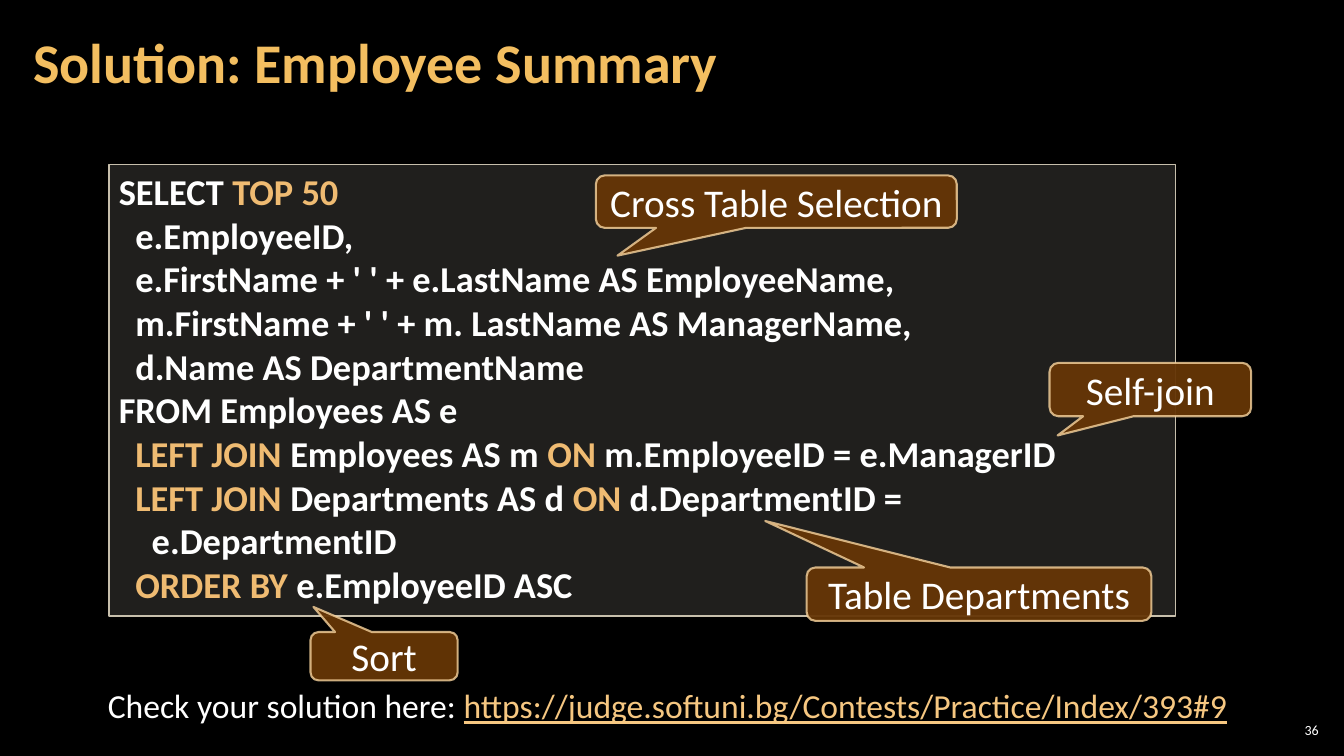
"""Build the "Solution: Employee Summary" slide."""
from typing import NamedTuple

from lxml import etree
from pptx import Presentation
from pptx.dml.color import RGBColor
from pptx.enum.shapes import MSO_SHAPE
from pptx.enum.text import MSO_ANCHOR, MSO_AUTO_SIZE, PP_ALIGN
from pptx.oxml.ns import qn
from pptx.util import Emu, Pt

PX = 9144
FONT = "Calibri"
BLACK = RGBColor(0x00, 0x00, 0x00)
WHITE = RGBColor(0xFF, 0xFF, 0xFF)
TITLE_GOLD = RGBColor(0xF3, 0xBE, 0x60)
KEYWORD_GOLD = RGBColor(0xEF, 0xBB, 0x72)
LINK_GOLD = RGBColor(0xF6, 0xC7, 0x81)
PANEL_FILL = RGBColor(0xD9, 0xD5, 0xC7)
PANEL_LINE = RGBColor(0xC7, 0xBF, 0xAC)
CALLOUT_FILL = RGBColor(0x66, 0x36, 0x06)
CALLOUT_LINE = RGBColor(0xF8, 0xD4, 0x9E)
RECTANGLE = MSO_SHAPE.RECTANGLE
CALLOUT = MSO_SHAPE.ROUNDED_RECTANGULAR_CALLOUT
MIDDLE, TOP = MSO_ANCHOR.MIDDLE, MSO_ANCHOR.TOP
LEFT, CENTER, RIGHT = PP_ALIGN.LEFT, PP_ALIGN.CENTER, PP_ALIGN.RIGHT
NO_AUTOFIT = MSO_AUTO_SIZE.NONE


class Box(NamedTuple):
    """A rectangle in px."""
    left: int
    top: int
    width: int
    height: int


class Piece(NamedTuple):
    """A stretch of text in one colour."""
    text: str
    color: RGBColor = WHITE
    underline: bool = False


class Style(NamedTuple):
    """The look of a block of text."""
    size: int
    align: PP_ALIGN = LEFT
    anchor: MSO_ANCHOR = TOP
    bold: bool = False


class Callout(NamedTuple):
    """A speech bubble and the relative position of its tip."""
    text: str
    box: Box
    tip_x: float
    tip_y: float


def keyword(text: str) -> Piece:
    """Return a highlighted piece of code."""
    return Piece(text, KEYWORD_GOLD)


CODE_LINES = [
    [Piece("SELECT "), keyword("TOP 50")],
    [Piece("  e.EmployeeID,")],
    [Piece("  e.FirstName + ' ' + e.LastName AS EmployeeName,")],
    [Piece("  m.FirstName + ' ' + m. LastName AS ManagerName,")],
    [Piece("  d.Name AS DepartmentName")],
    [Piece("FROM Employees AS e")],
    [keyword("  LEFT JOIN "), Piece("Employees AS m "), keyword("ON"),
     Piece(" m.EmployeeID = e.ManagerID")],
    [keyword("  LEFT JOIN "), Piece("Departments AS d "), keyword("ON"),
     Piece(" d.DepartmentID =")],
    [Piece("    e.DepartmentID")],
    [keyword("  ORDER BY "), Piece("e.EmployeeID ASC")],
]
CHECK_LINE = [
    Piece("Check your solution here: "),
    Piece("https://judge.softuni.bg/Contests/Practice/Index/393#9", LINK_GOLD, True),
]
CALLOUTS = [
    Callout("Self-join", Box(1041, 360, 200, 53), -0.46, 0.86),
    Callout("Sort", Box(308, 627, 146, 48), -0.48, -1.02),
    Callout("Cross Table Selection", Box(591, 174, 358, 52), -0.44, 1.03),
    Callout("Table Departments", Box(800, 563, 342, 53), -0.62, -1.37),
]


def emu(box: Box) -> list[Emu]:
    """Turn a box in px into EMU lengths."""
    return [Emu(length * PX) for length in box]


def write(text_frame, lines: list[list[Piece]], style: Style) -> None:
    """Fill a text frame with lines of coloured pieces."""
    text_frame.word_wrap = True
    text_frame.auto_size = NO_AUTOFIT
    text_frame.vertical_anchor = style.anchor
    text_frame.text = "\n".join("" for _ in lines)
    for paragraph, pieces in zip(text_frame.paragraphs, lines):
        paragraph.alignment = style.align
        for piece in pieces:
            run = paragraph.add_run()
            run.text = piece.text
            run.font.name = FONT
            run.font.size = Pt(style.size)
            run.font.bold = style.bold
            run.font.color.rgb = piece.color
            if piece.underline:
                run.font.underline = True


def set_opacity(color_parent, percent: int) -> None:
    """Make a solid fill partly transparent."""
    color = color_parent.find(qn("a:solidFill"))[0]
    etree.SubElement(color, qn("a:alpha"), val=str(percent * 1000))


def add_panel(slide, kind: MSO_SHAPE, box: Box, fill: RGBColor, opacity: int,
              line: RGBColor, line_width: float):
    """Add a translucent outlined shape."""
    shape = slide.shapes.add_shape(kind, *emu(box))
    shape.shadow.inherit = False
    shape.fill.solid()
    shape.fill.fore_color.rgb = fill
    set_opacity(shape._element.spPr, opacity)
    shape.line.color.rgb = line
    shape.line.width = Pt(line_width)
    return shape


def add_callout(slide, callout: Callout) -> None:
    """Add a labelled speech bubble."""
    shape = add_panel(slide, CALLOUT, callout.box, CALLOUT_FILL, 95, CALLOUT_LINE, 1.5)
    set_opacity(shape.line._get_or_add_ln(), 80)
    shape.adjustments[0] = callout.tip_x
    shape.adjustments[1] = callout.tip_y
    write(shape.text_frame, [[Piece(callout.text)]], Style(28, CENTER, MIDDLE))


def set_margins(text_frame, side: int, end: int) -> None:
    """Set the insets of a text frame in px."""
    text_frame.margin_left = text_frame.margin_right = Emu(side * PX)
    text_frame.margin_top = text_frame.margin_bottom = Emu(end * PX)


def main() -> None:
    """Build and save the presentation."""
    presentation = Presentation()
    presentation.slide_width = Emu(1333 * PX)
    presentation.slide_height = Emu(750 * PX)
    slide = presentation.slides.add_slide(presentation.slide_layouts[5])
    slide.background.fill.solid()
    slide.background.fill.fore_color.rgb = BLACK

    title = slide.shapes.title
    title.left, title.top, title.width, title.height = emu(Box(21, 4, 1047, 121))
    set_margins(title.text_frame, 12, 4)
    write(title.text_frame, [[Piece("Solution: Employee Summary", TITLE_GOLD)]],
          Style(40, LEFT, MIDDLE, True))
    title.text_frame.paragraphs[0].line_spacing = 0.9

    code = add_panel(slide, RECTANGLE, Box(108, 163, 1058, 448), PANEL_FILL, 15,
                     PANEL_LINE, 1)
    write(code.text_frame, CODE_LINES, Style(26, bold=True))

    number = slide.shapes.add_textbox(*emu(Box(1265, 714, 47, 21)))
    set_margins(number.text_frame, 4, 4)
    write(number.text_frame, [[Piece("36")]], Style(10, RIGHT, MIDDLE))

    check = slide.shapes.add_textbox(*emu(Box(83, 675, 1158, 50)))
    write(check.text_frame, [CHECK_LINE], Style(24, CENTER))

    for callout in CALLOUTS:
        add_callout(slide, callout)

    presentation.save("out.pptx")


if __name__ == "__main__":
    main()
